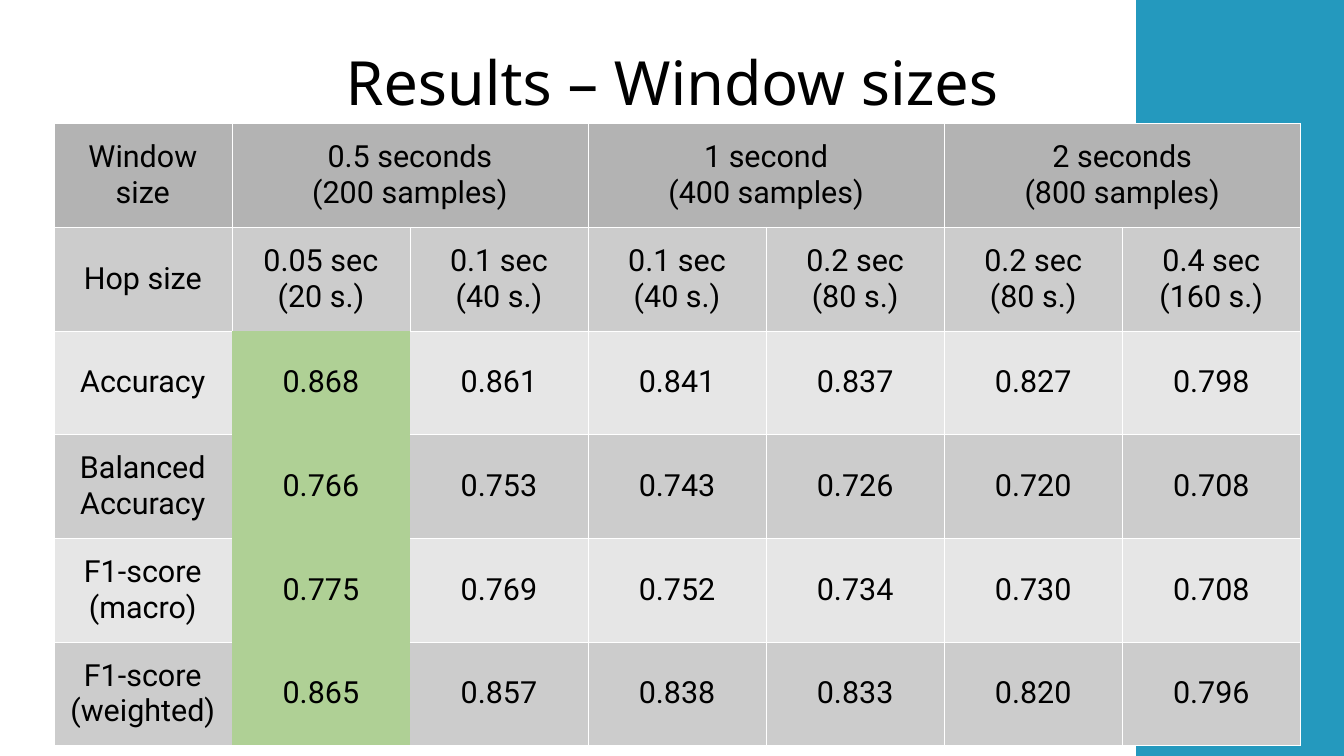
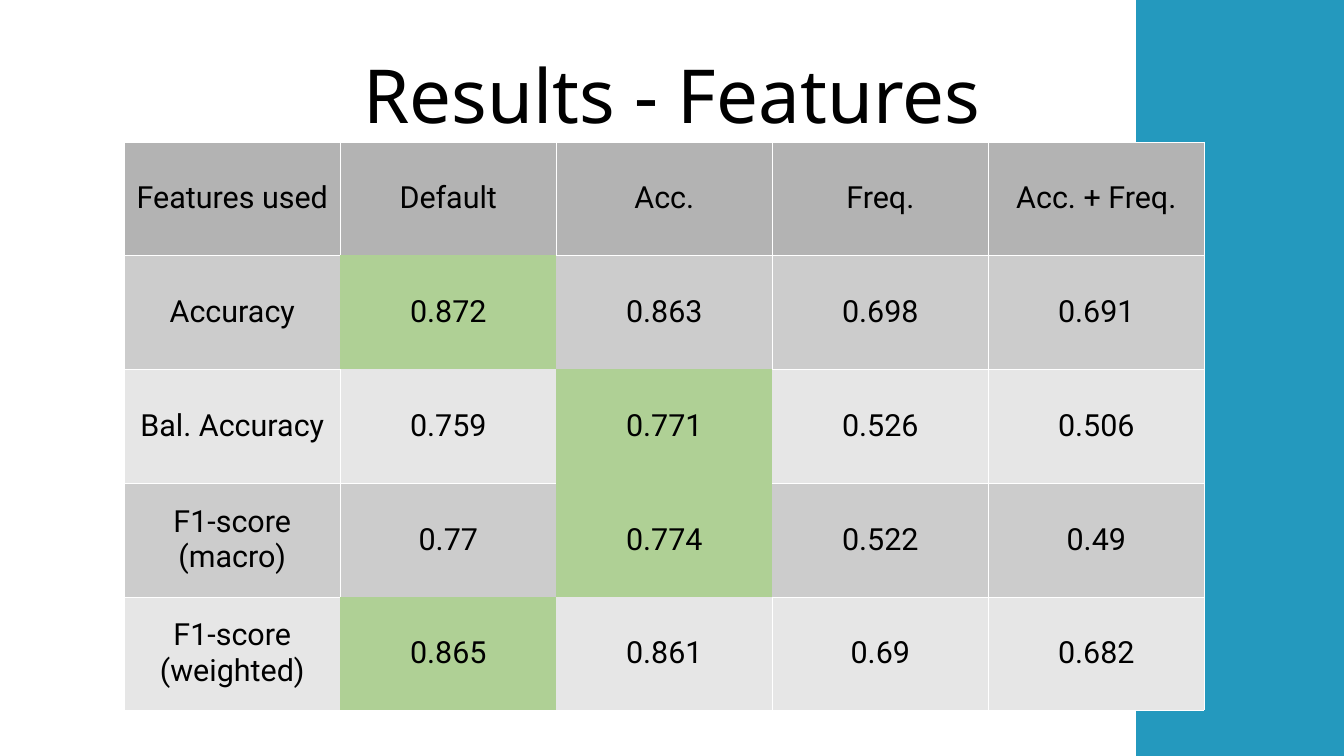
"""Builds two result slides, each a title and a table beside a coloured band."""
from dataclasses import dataclass

import lxml.etree
import pptx
import pptx.dml.color
import pptx.enum.shapes
import pptx.enum.text
import pptx.oxml.ns
import pptx.util
from pptx.util import Cm


@dataclass(frozen=True)
class Theme:
    """Holds the colours, fonts and sizes shared by the slides."""
    band: str = "2499BE"
    text: str = "000000"
    header: str = "B3B3B3"
    odd_row: str = "CCCCCC"
    even_row: str = "E6E6E6"
    best: str = "AFD095"
    border: str = "FFFFFF"
    border_points: float = 0.06
    title_font: str = "Noto Sans"
    body_font: str = "Roboto"
    body_size: int = 18
    page_width: float = 28
    page_height: float = 15.75
    band_left: float = 23.67
    plain_table: str = "{2D5ABB26-0587-4C30-8999-92F81FD0307C}"


THEME = Theme()
SIDES = {"lnL": (0, -1), "lnR": (0, 1), "lnT": (-1, 0), "lnB": (1, 0)}

WINDOW_ROWS = [
    ["Window size", "0.5 seconds\n(200 samples)", None,
     "1 second\n(400 samples)", None, "2 seconds\n(800 samples)", None],
    ["Hop size", "0.05 sec\n(20 s.)", "0.1 sec\n(40 s.)", "0.1 sec\n(40 s.)",
     "0.2 sec\n(80 s.)", "0.2 sec\n(80 s.)", "0.4 sec\n(160 s.)"],
    ["Accuracy", "0.868", "0.861", "0.841", "0.837", "0.827", "0.798"],
    ["Balanced\nAccuracy", "0.766", "0.753", "0.743", "0.726", "0.720", "0.708"],
    ["F1-score\n(macro)", "0.775", "0.769", "0.752", "0.734", "0.730", "0.708"],
    ["F1-score\n(weighted)", "0.865", "0.857", "0.838", "0.833", "0.820", "0.796"],
]
WINDOW_BEST = {(2, 1), (3, 1), (4, 1), (5, 1)}

FEATURE_ROWS = [
    ["Features used", "Default", "Acc.", "Freq.", "Acc. + Freq."],
    ["Accuracy", "0.872", "0.863", "0.698", "0.691"],
    ["Bal. Accuracy", "0.759", "0.771", "0.526", "0.506"],
    ["F1-score\n(macro)", "0.77", "0.774", "0.522", "0.49"],
    ["F1-score\n(weighted)", "0.865", "0.861", "0.69", "0.682"],
]
FEATURE_BEST = {(1, 1), (2, 2), (3, 2), (4, 1)}


def paint(fill, colour):
    """Give a fill one solid colour."""
    fill.solid()
    fill.fore_color.rgb = pptx.dml.color.RGBColor.from_string(colour)


def write(frame, text, font_name, size):
    """Write centred text, one paragraph for each line."""
    frame.text = text
    for para in frame.paragraphs:
        para.alignment = pptx.enum.text.PP_ALIGN.CENTER
        for span in para.runs:
            span.font.name = font_name
            span.font.size = pptx.util.Pt(size)
            span.font.color.rgb = pptx.dml.color.RGBColor.from_string(THEME.text)


def add_page(deck, title, title_top, title_size):
    """Add a slide with the side band and its title."""
    page = deck.slides.add_slide(deck.slide_layouts[6])
    band = page.shapes.add_shape(
        pptx.enum.shapes.MSO_SHAPE.RECTANGLE, Cm(THEME.band_left), 0,
        Cm(THEME.page_width - THEME.band_left), Cm(THEME.page_height))
    band.shadow.inherit = False
    paint(band.fill, THEME.band)
    band.line.fill.background()

    box = page.shapes.add_textbox(Cm(1.4), Cm(title_top), Cm(25.2), Cm(2.62))
    frame = box.text_frame
    frame.word_wrap = True
    frame.vertical_anchor = pptx.enum.text.MSO_ANCHOR.MIDDLE
    frame.margin_left = frame.margin_right = 0
    frame.margin_top = frame.margin_bottom = 0
    write(frame, title, THEME.title_font, title_size)
    return page


def set_borders(cell, position, best):
    """Draw thin cell borders, except along highlighted cells."""
    properties = cell._tc.get_or_add_tcPr()
    row, column = position
    for side, (down, across) in SIDES.items():
        line = lxml.etree.SubElement(
            properties, pptx.oxml.ns.qn(f"a:{side}"),
            w=str(pptx.util.Pt(THEME.border_points)))
        if best & {position, (row + down, column + across)}:
            lxml.etree.SubElement(line, pptx.oxml.ns.qn("a:noFill"))
        else:
            solid = lxml.etree.SubElement(line, pptx.oxml.ns.qn("a:solidFill"))
            lxml.etree.SubElement(
                solid, pptx.oxml.ns.qn("a:srgbClr"), val=THEME.border)


def cell_colour(position, best):
    """Return the fill for a cell from its row and its highlight."""
    row = position[0]
    if position in best:
        return THEME.best
    if row == 0:
        return THEME.header
    return THEME.odd_row if row % 2 else THEME.even_row


def add_results(page, rows, best, left, top, column_width, row_height):
    """Add a results table; None extends the cell to its left."""
    count = len(rows[0])
    holder = page.shapes.add_table(
        len(rows), count, Cm(left), Cm(top),
        Cm(column_width * count), Cm(row_height * len(rows)))
    table = holder.table
    table.first_row = table.horz_banding = False
    style = table._tbl.tblPr.find(pptx.oxml.ns.qn("a:tableStyleId"))
    style.text = THEME.plain_table
    for column in table.columns:
        column.width = Cm(column_width)
    for row in table.rows:
        row.height = Cm(row_height)
    for row_index, texts in enumerate(rows):
        for column_index, text in enumerate(texts):
            position = (row_index, column_index)
            cell = table.cell(*position)
            set_borders(cell, position, best)
            paint(cell.fill, cell_colour(position, best))
            cell.vertical_anchor = pptx.enum.text.MSO_ANCHOR.MIDDLE
            if text is None:
                table.cell(row_index, column_index - 1).merge(cell)
            else:
                write(cell.text_frame, text, THEME.body_font, THEME.body_size)


def main():
    """Build and save the deck."""
    deck = pptx.Presentation()
    deck.slide_width = Cm(THEME.page_width)
    deck.slide_height = Cm(THEME.page_height)

    page = add_page(deck, "Results – Window sizes", 0.38, 36)
    add_results(page, WINDOW_ROWS, WINDOW_BEST, 1.12, 2.57, 3.71, 2.16)

    page = add_page(deck, "Results - Features", 0.64, 44)
    add_results(page, FEATURE_ROWS, FEATURE_BEST, 2.59, 2.95, 4.5, 2.37)

    deck.save("out.pptx")


if __name__ == "__main__":
    main()
